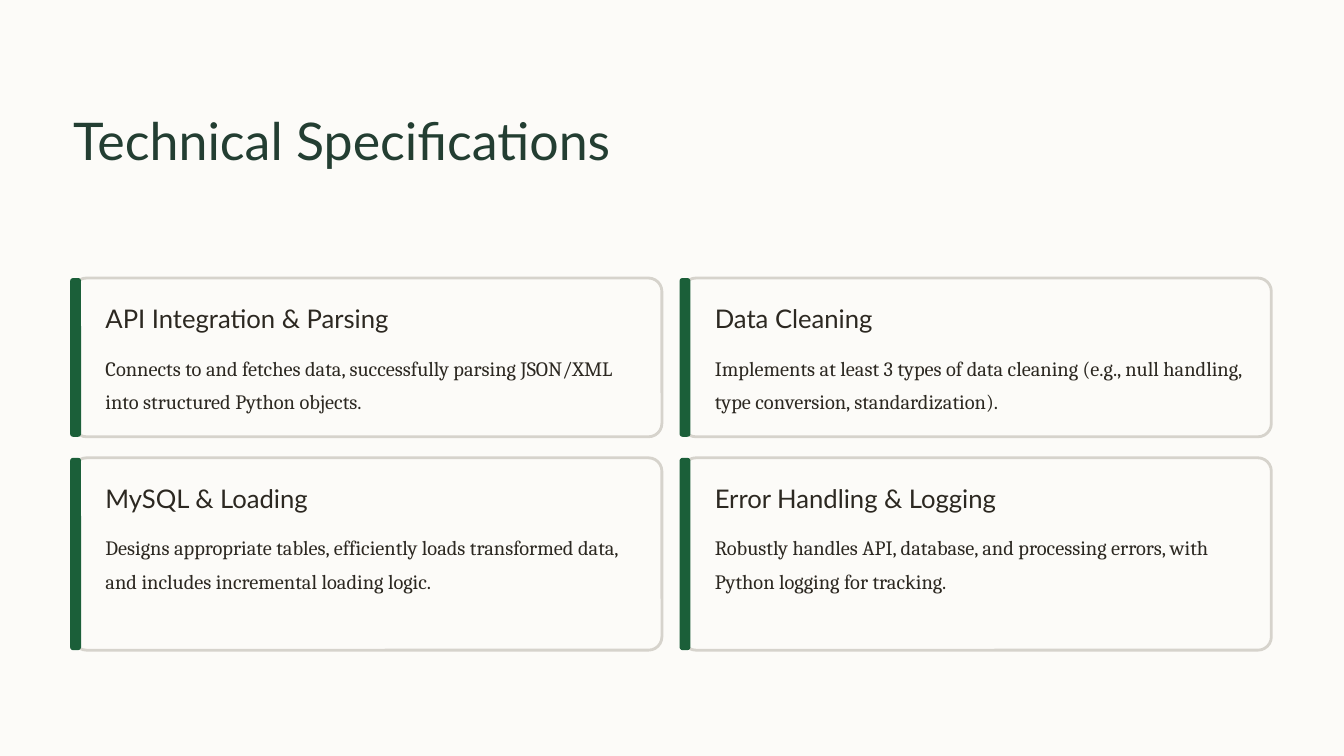
"""Build the Technical Specifications slide: a title above a grid of four cards."""
import pptx
import pptx.dml.color
import pptx.enum.shapes
import pptx.enum.text
import pptx.util
from pptx.util import Inches

TITLE = "Technical Specifications"
CARD_ROWS = [
    [
        ("API Integration & Parsing",
         "Connects to and fetches data, successfully parsing JSON/XML into structured Python objects."),
        ("Data Cleaning",
         "Implements at least 3 types of data cleaning (e.g., null handling, type conversion, standardization)."),
    ],
    [
        ("MySQL & Loading",
         "Designs appropriate tables, efficiently loads transformed data, and includes incremental loading logic."),
        ("Error Handling & Logging",
         "Robustly handles API, database, and processing errors, with Python logging for tracking."),
    ],
]
COLORS = {"paper": "FCFBF8", "title": "233E32", "border": "D6D3CC",
          "accent": "1B5F39", "text": "2C2821"}

LEFT, TOP = 0.87, 3.31
CARD_W, ROW_HEIGHTS = 7.01, [1.89, 2.29]
GAP_X, GAP_Y = 0.245, 0.25
CORNER = 0.16
BAR_W, BAR_OVERHANG, BAR_ADJ = 0.13, 0.035, 0.279
PAD_X, HEADING_Y, BODY_Y = 0.385, 0.28, 0.82
TEXT_W, HEADING_H = 6.35, 0.39


def color(name):
    return pptx.dml.color.RGBColor.from_string(COLORS[name])


def write(s, text, font, size, spacing, ink, wrap=True):
    tf = s.text_frame
    tf.margin_left = tf.margin_top = tf.margin_right = tf.margin_bottom = 0
    tf.word_wrap = wrap
    tf.auto_size = pptx.enum.text.MSO_AUTO_SIZE.NONE
    tf.vertical_anchor = pptx.enum.text.MSO_ANCHOR.TOP
    p = tf.paragraphs[0]
    p.alignment = pptx.enum.text.PP_ALIGN.LEFT
    p.line_spacing = pptx.util.Pt(spacing)
    r = p.add_run()
    r.text = text
    r.font.name = font
    r.font.size = pptx.util.Pt(size)
    r.font.color.rgb = color(ink)


def add_rounded(slide, x, y, w, h, adj, fill, line=None):
    s = slide.shapes.add_shape(pptx.enum.shapes.MSO_SHAPE.ROUNDED_RECTANGLE,
                               Inches(x), Inches(y), Inches(w), Inches(h))
    s.adjustments[0] = adj
    s.shadow.inherit = False
    s.fill.solid()
    s.fill.fore_color.rgb = color(fill)
    if line:
        s.line.color.rgb = color(line)
        s.line.width = pptx.util.Pt(2.4)
    else:
        s.line.fill.background()


def add_text(slide, x, y, w, h, *style, wrap=True):
    s = slide.shapes.add_textbox(Inches(x), Inches(y), Inches(w), Inches(h))
    write(s, *style, wrap=wrap)


def add_card(slide, x, y, h, heading, body):
    add_rounded(slide, x, y, CARD_W, h, CORNER / h, "paper", "border")
    add_rounded(slide, x - BAR_OVERHANG, y, BAR_W, h, BAR_ADJ, "accent")
    add_text(slide, x + PAD_X, y + HEADING_Y, TEXT_W, HEADING_H,
             heading, "Lato", 22, 27.5, "text", wrap=False)
    add_text(slide, x + PAD_X, y + BODY_Y, TEXT_W, h - BODY_Y - HEADING_Y,
             body, "Cambria", 17.5, 28.5, "text")


def main():
    prs = pptx.Presentation()
    prs.slide_width, prs.slide_height = Inches(16), Inches(9)
    slide = prs.slides.add_slide(prs.slide_layouts[5])
    slide.background.fill.solid()
    slide.background.fill.fore_color.rgb = color("paper")

    title = slide.shapes.title
    title.left, title.top = Inches(LEFT), Inches(1.26)
    title.width, title.height = Inches(14.26), Inches(1.55)
    write(title, TITLE, "Lato", 44.5, 55.5, "title")

    y = TOP
    for cards, h in zip(CARD_ROWS, ROW_HEIGHTS):
        for col, (heading, body) in enumerate(cards):
            add_card(slide, LEFT + col * (CARD_W + GAP_X), y, h, heading, body)
        y += h + GAP_Y

    prs.save("out.pptx")


if __name__ == "__main__":
    main()
